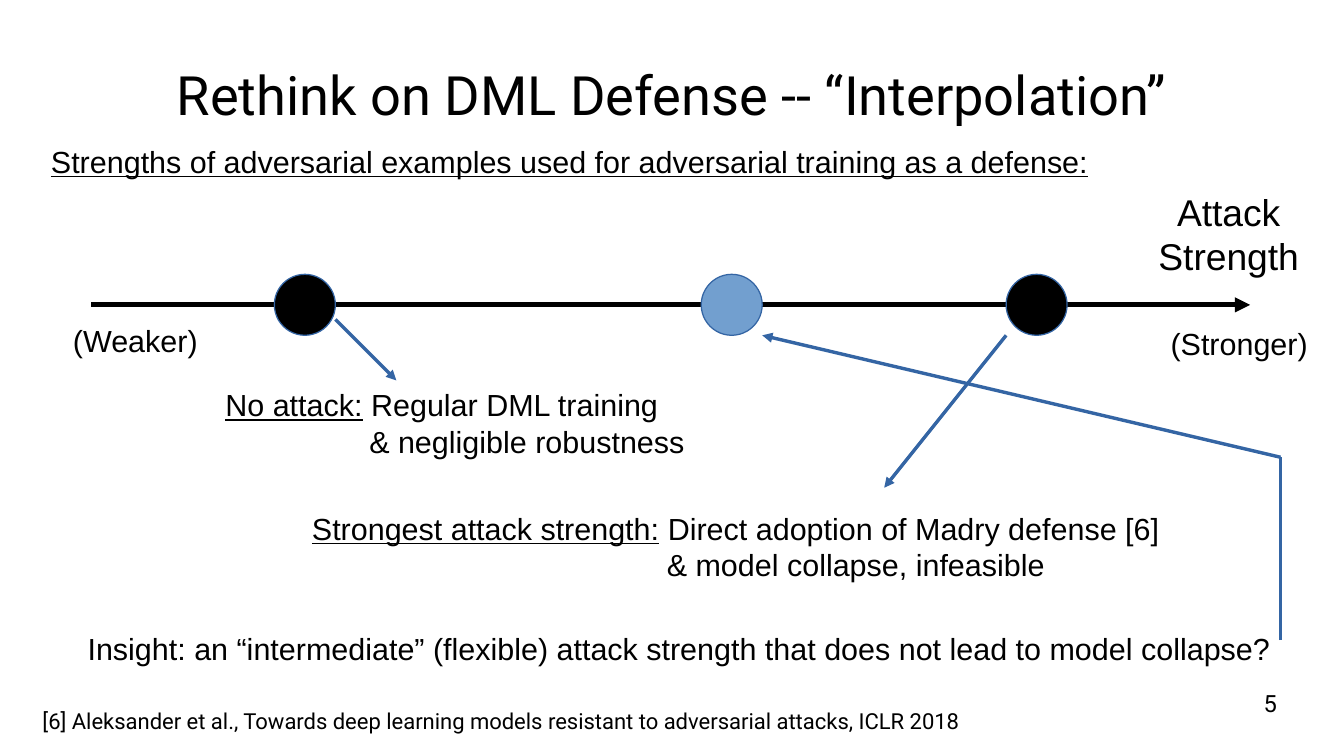
from lxml import etree
from pptx import Presentation
from pptx.dml.color import RGBColor
from pptx.enum.shapes import MSO_CONNECTOR, MSO_SHAPE
from pptx.enum.text import MSO_ANCHOR, PP_ALIGN
from pptx.oxml.ns import qn
from pptx.util import Inches, Pt

BLACK = RGBColor(0x00, 0x00, 0x00)
DARK_BLUE = RGBColor(0x34, 0x65, 0xA4)
LIGHT_BLUE = RGBColor(0x72, 0x9F, 0xCF)

OVAL = MSO_SHAPE.OVAL
STRAIGHT = MSO_CONNECTOR.STRAIGHT
LEFT, CENTER, RIGHT = PP_ALIGN.LEFT, PP_ALIGN.CENTER, PP_ALIGN.RIGHT
TOP, MIDDLE = MSO_ANCHOR.TOP, MSO_ANCHOR.MIDDLE

BODY = {"name": "Arial", "size": Pt(18)}
UNDERLINED = {**BODY, "underline": True}
AXIS_TITLE = {"name": "Arial", "size": Pt(22)}
TITLE = {"name": "Roboto", "size": Pt(32)}
REFERENCE = {"name": "Roboto", "size": Pt(13)}
PAGE_NUMBER = {"name": "Roboto", "size": Pt(14)}

AXIS_Y = 2.5
DOT_SIZE = 0.5


def add_run(paragraph, text, font_format):
    run = paragraph.add_run()
    run.text = text
    for attribute, value in font_format.items():
        setattr(run.font, attribute, value)
    run.font.color.rgb = BLACK


def add_text(slide, box, lines, font_format, align=LEFT, anchor=TOP, padded=True):
    """Add a text box with one paragraph per line and return its paragraphs."""
    frame = slide.shapes.add_textbox(*map(Inches, box)).text_frame
    side, edge = (0.1, 0.05) if padded else (0, 0)
    frame_format = {
        "word_wrap": True, "vertical_anchor": anchor,
        "margin_left": Inches(side), "margin_right": Inches(side),
        "margin_top": Inches(edge), "margin_bottom": Inches(edge),
    }
    for attribute, value in frame_format.items():
        setattr(frame, attribute, value)
    for index, line in enumerate(lines):
        paragraph = frame.add_paragraph() if index else frame.paragraphs[0]
        paragraph.alignment = align
        add_run(paragraph, line, font_format)
    return frame.paragraphs


def add_case(slide, box, label, outcome, drawback, indent):
    """Add an underlined label with its outcome, and the drawback indented below."""
    first, second = add_text(slide, box, [label, drawback], BODY)
    first.runs[0].font.underline = True
    add_run(first, " " + outcome, BODY)
    properties = second._p.get_or_add_pPr()
    properties.set("marL", str(Inches(indent)))
    properties.set("indent", "0")


def add_line(slide, start, end, color=DARK_BLUE, width=0, arrow=True):
    connector = slide.shapes.add_connector(STRAIGHT, *map(Inches, start + end))
    connector.line.color.rgb = color
    connector.line.width = Pt(width)
    if arrow:
        etree.SubElement(connector.line._get_or_add_ln(), qn("a:tailEnd"), type="triangle")
    etree.SubElement(connector._element.spPr, qn("a:effectLst"))


def add_dot(slide, center_x, color):
    corner = (center_x - DOT_SIZE / 2, AXIS_Y - DOT_SIZE / 2)
    dot = slide.shapes.add_shape(OVAL, *map(Inches, corner + (DOT_SIZE, DOT_SIZE)))
    dot.shadow.inherit = False
    dot.fill.solid()
    dot.fill.fore_color.rgb = color
    dot.line.color.rgb = DARK_BLUE
    dot.line.width = Pt(0)


def add_strength_axis(slide):
    add_line(slide, (0.75, AXIS_Y), (10.25, AXIS_Y), BLACK, 3)
    for center_x, color in ((2.5, BLACK), (6, LIGHT_BLUE), (8.5, BLACK)):
        add_dot(slide, center_x, color)
    add_text(slide, (9.35, 1.5, 1.45, 0.78), ["Attack", "Strength"], AXIS_TITLE, CENTER)
    add_text(slide, (0.5, 2.59, 1.5, 0.38), ["(Weaker)"], BODY)
    add_text(slide, (9.5, 2.62, 1.4, 0.38), ["(Stronger)"], BODY)


def add_cases(slide):
    add_line(slide, (2.75, 2.62), (3.25, 3.12))
    add_case(slide, (1.75, 3.12, 4.1, 0.66), "No attack:",
             "Regular DML training", "& negligible robustness", 1.18)
    add_line(slide, (8.25, 2.75), (7.25, 4))
    add_case(slide, (2.46, 4.13, 7.3, 0.66), "Strongest attack strength:",
             "Direct adoption of Madry defense [6]", "& model collapse, infeasible", 2.91)


def add_insight(slide):
    bend = (10.5, 3.75)
    add_text(slide, (0.62, 5.12, 10, 0.38),
             ["Insight: an “intermediate” (flexible) attack strength "
              "that does not lead to model collapse?"], BODY)
    add_line(slide, (10.5, 5.25), bend, arrow=False)
    add_line(slide, bend, (6.25, 2.75))


def main():
    presentation = Presentation()
    presentation.slide_width = Inches(11.02)
    presentation.slide_height = Inches(6.2)
    slide = presentation.slides.add_slide(presentation.slide_layouts[6])

    add_text(slide, (0.55, 0.25, 9.92, 1.04), ["Rethink on DML Defense -- “Interpolation”"],
             TITLE, CENTER, MIDDLE, padded=False)
    add_text(slide, (0.32, 1.12, 8.8, 0.38),
             ["Strengths of adversarial examples used for adversarial training as a defense:"],
             UNDERLINED)
    add_strength_axis(slide)
    add_cases(slide)
    add_insight(slide)
    add_text(slide, (0.25, 5.75, 8.2, 0.34),
             ["[6] Aleksander et al., Towards deep learning models resistant to "
              "adversarial attacks, ICLR 2018"], REFERENCE)
    add_text(slide, (7.9, 5.65, 2.57, 0.43), ["5"], PAGE_NUMBER, RIGHT, padded=False)
    presentation.save("out.pptx")


if __name__ == "__main__":
    main()
